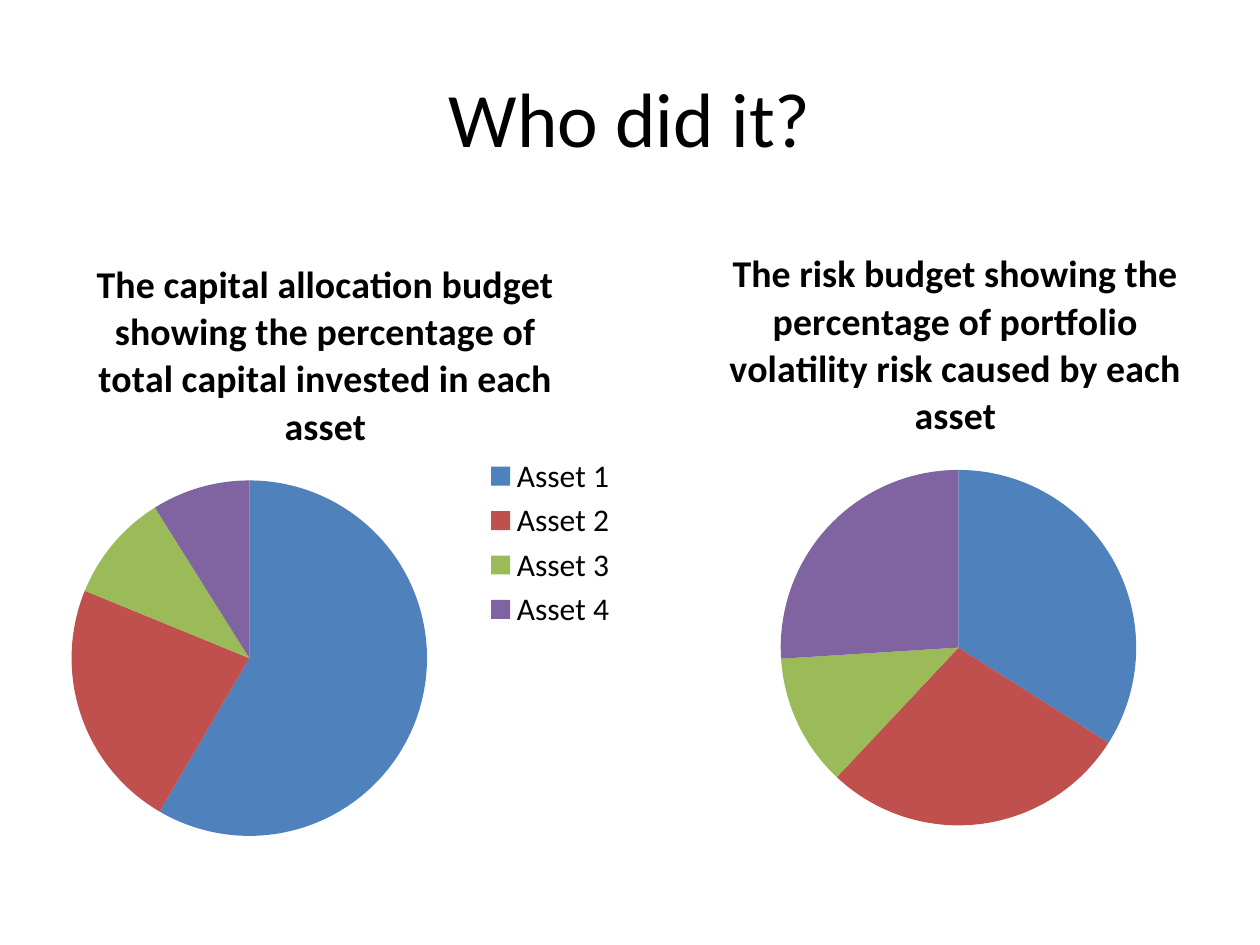
from lxml import etree
from pptx import Presentation
from pptx.chart.data import CategoryChartData
from pptx.dml.color import RGBColor
from pptx.enum.chart import XL_CHART_TYPE, XL_LEGEND_POSITION
from pptx.enum.text import MSO_ANCHOR, PP_ALIGN
from pptx.oxml.ns import qn
from pptx.util import Pt

PIE = XL_CHART_TYPE.PIE
LEGEND_RIGHT = XL_LEGEND_POSITION.RIGHT
MIDDLE = MSO_ANCHOR.MIDDLE
CENTER = PP_ALIGN.CENTER

FONT = "Calibri"
COLORS = {
    "text": "000000",
    "asset 1": "4F81BD",
    "asset 2": "C0504D",
    "asset 3": "9BBB59",
    "asset 4": "8064A2",
}
ASSET_COLORS = [COLORS[f"asset {number}"] for number in range(1, 5)]
BUDGET_WIDTH, BUDGET_HEIGHT = 348, 356.4


def style_font(font, size, bold=False):
    """Give a font the slide's typeface and text colour."""
    font.name = FONT
    font.size = Pt(size)
    font.bold = bold
    font.color.rgb = RGBColor.from_string(COLORS["text"])


def write_text(frame, text, size, bold=False, align=CENTER):
    """Write one formatted paragraph into a text frame."""
    paragraph = frame.paragraphs[0]
    paragraph.alignment = align
    run = paragraph.add_run()
    run.text = text
    style_font(run.font, size, bold)


def add_heading(slide, text):
    """Add the slide heading, centred in its box."""
    heading = slide.shapes.add_textbox(Pt(36), Pt(21.6), Pt(648), Pt(90))
    frame = heading.text_frame
    frame.word_wrap = True
    frame.vertical_anchor = MIDDLE
    write_text(frame, text, size=44)


def place_pie(chart, **position):
    """Fix the pie's inner area as fractions of the chart."""
    plot_area = chart.plots[0]._element.getparent()
    layout = plot_area.find(qn("c:layout"))
    if layout is None:
        layout = etree.Element(qn("c:layout"))
        plot_area.insert(0, layout)
    manual = etree.SubElement(layout, qn("c:manualLayout"))
    settings = {"layoutTarget": "inner", "xMode": "edge", "yMode": "edge", **position}
    for tag, value in settings.items():
        etree.SubElement(manual, qn(f"c:{tag}"), val=str(value))


def add_budget(slide, title, assets, shares, left, top, pie_left, legend=False):
    """Add a titled pie chart of one budget's shares by asset."""
    data = CategoryChartData()
    data.categories = assets
    data.add_series(title, shares)
    chart = slide.shapes.add_chart(
        PIE, Pt(left), Pt(top), Pt(BUDGET_WIDTH), Pt(BUDGET_HEIGHT), data
    ).chart
    style_font(chart.font, size=18)
    chart.has_title = True
    write_text(chart.chart_title.text_frame, title, size=21.6, bold=True)
    chart.chart_title.include_in_layout = False

    chart.has_legend = legend
    if legend:
        chart.legend.position = LEGEND_RIGHT
        chart.legend.include_in_layout = False
        style_font(chart.legend.font, size=18)

    pie = chart.plots[0]
    pie.vary_by_categories = True
    for index, color in enumerate(ASSET_COLORS):
        fill = pie.series[0].points[index].format.fill
        fill.solid()
        fill.fore_color.rgb = RGBColor.from_string(color)
    place_pie(chart, x=pie_left, y=0.4, w=0.59, h=0.57)


def main():
    """Build and save the slide."""
    deck = Presentation()
    deck.slide_width, deck.slide_height = Pt(720), Pt(540)
    slide = deck.slides.add_slide(deck.slide_layouts[6])

    add_heading(slide, "Who did it?")
    add_budget(
        slide,
        "The risk budget showing the percentage of portfolio volatility risk "
        "caused by each asset",
        ["1", "2", "3", "4"],
        [34, 28, 12, 26],
        left=372, top=126, pie_left=0.21,
    )
    add_budget(
        slide,
        "The capital allocation budget showing the percentage of total capital "
        "invested in each asset",
        ["Asset 1", "Asset 2", "Asset 3", "Asset 4"],
        [59, 23, 10, 9],
        left=12, top=132, pie_left=0.08, legend=True,
    )
    deck.save("out.pptx")


main()
